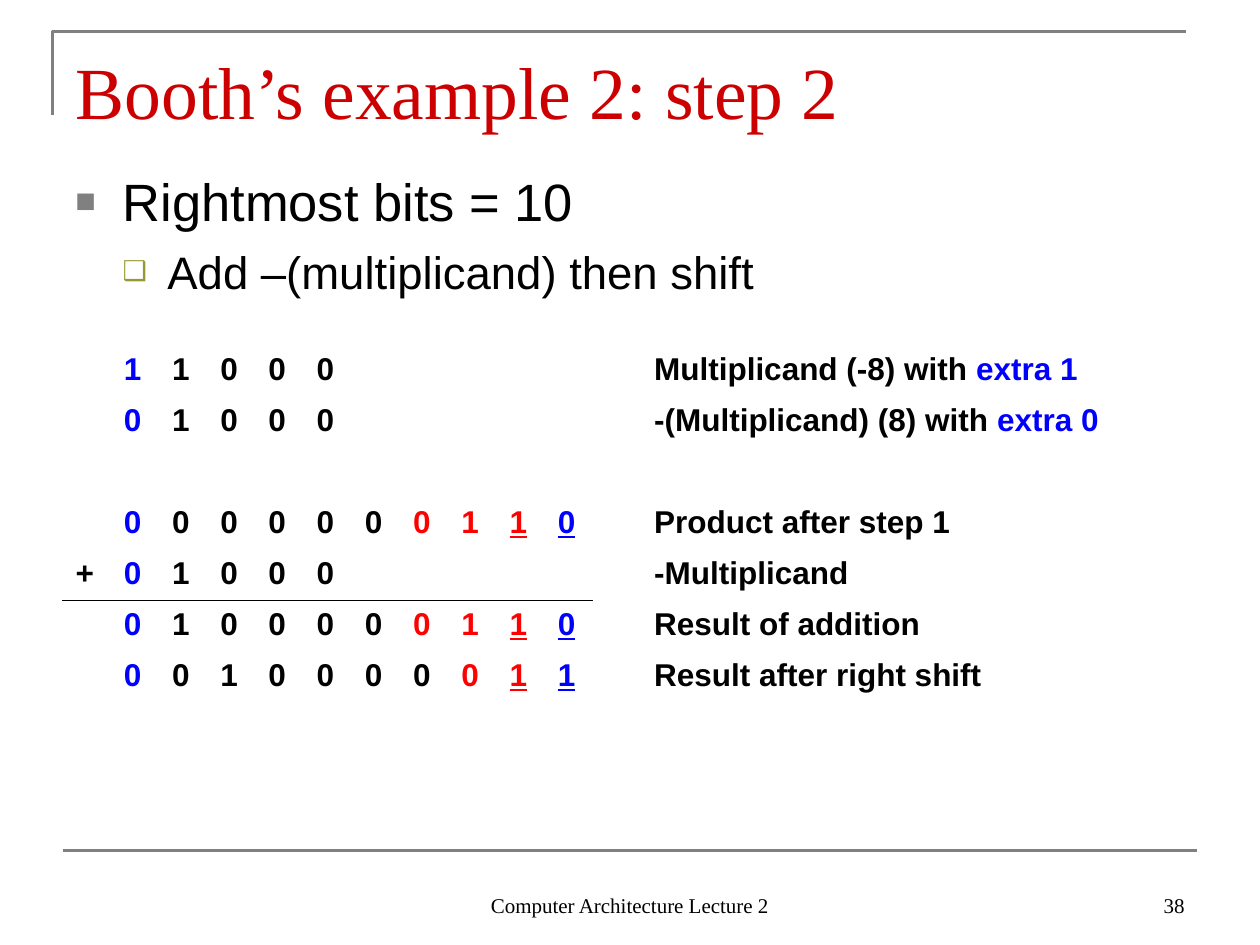
from lxml.etree import SubElement
from pptx import Presentation
from pptx.dml.color import RGBColor
from pptx.enum.shapes import MSO_CONNECTOR as Connector
from pptx.enum.text import MSO_ANCHOR as Anchor, MSO_AUTO_SIZE as AutoSize, PP_ALIGN as Align
from pptx.oxml import parse_xml
from pptx.oxml.ns import nsdecls, qn
from pptx.util import Pt

BLACK, GRAY, OLIVE = "000000", "808080", "999933"
BLUE, RED, TITLE_RED = "0000FF", "FF0000", "CC0000"


def color(value):
    return RGBColor.from_string(value)


class SlideBuilder:
    sans = "Arial"
    serif = "Times New Roman"
    rule_width = 1.5
    border_width = 0.45

    def __init__(self, deck):
        self.slide = deck.slides.add_slide(deck.slide_layouts[5])
        self.shapes = self.slide.shapes

    def run(self, paragraph, text, size, font, ink=BLACK, bold=False, underline=False):
        run = paragraph.add_run()
        run.text = text
        run.font.size = Pt(size)
        run.font.name = font
        run.font.color.rgb = color(ink)
        run.font.bold = bold
        run.font.underline = underline

    def frame(self, shape, anchor, top=3.6, bottom=3.6):
        frame = shape.text_frame
        frame.word_wrap = True
        frame.auto_size = AutoSize.NONE
        frame.vertical_anchor = anchor
        frame.margin_left = frame.margin_right = Pt(7.2)
        frame.margin_top, frame.margin_bottom = Pt(top), Pt(bottom)
        return frame

    def title(self, text, left, top, width, height):
        title = self.shapes.title
        title.left, title.top, title.width, title.height = map(Pt, (left, top, width, height))
        paragraph = self.frame(title, Anchor.BOTTOM, bottom=1).paragraphs[0]
        paragraph.alignment = Align.LEFT
        self.run(paragraph, text, 42, self.serif, TITLE_RED)

    def corner(self, points):
        start, *rest = [(Pt(x), Pt(y)) for x, y in points]
        outline = self.shapes.build_freeform(*start)
        outline.add_line_segments(rest, close=False)
        shape = outline.convert_to_shape()
        shape.shadow.inherit = False
        shape.fill.background()
        shape.line.color.rgb = color(GRAY)
        shape.line.width = Pt(self.rule_width)

    def rule(self, left, right, y):
        line = self.shapes.add_connector(Connector.STRAIGHT, Pt(left), Pt(y), Pt(right), Pt(y))
        line.line.color.rgb = color(GRAY)
        line.line.width = Pt(self.rule_width)
        SubElement(line._element.spPr, qn("a:effectLst"))

    def bullets(self, items, left, top, width, height):
        box = self.shapes.add_textbox(Pt(left), Pt(top), Pt(width), Pt(height))
        frame = self.frame(box, Anchor.TOP, top=6.7)
        for level, (text, size, before, margin, hanging, mark, ink, percent) in enumerate(items):
            paragraph = frame.add_paragraph() if level else frame.paragraphs[0]
            paragraph.level = level
            paragraph.space_before = Pt(before)
            props = paragraph._p.get_or_add_pPr()
            props.set("marL", str(Pt(margin)))
            props.set("indent", str(-Pt(hanging)))
            SubElement(SubElement(props, qn("a:buClr")), qn("a:srgbClr"), val=ink)
            SubElement(props, qn("a:buSzPct"), val=str(percent * 1000))
            SubElement(props, qn("a:buFont"), typeface=self.sans)
            SubElement(props, qn("a:buChar"), char=mark)
            self.run(paragraph, text, size, self.sans)

    def footer(self, text, left, top, width, height, align):
        box = self.shapes.add_textbox(Pt(left), Pt(top), Pt(width), Pt(height))
        paragraph = self.frame(box, Anchor.BOTTOM).paragraphs[0]
        paragraph.alignment = align
        self.run(paragraph, text, 12, self.serif)

    def border(self, cell, side):
        line = parse_xml(
            f'<a:{side} {nsdecls("a")} w="{Pt(self.border_width)}">'
            f'<a:solidFill><a:srgbClr val="{BLACK}"/></a:solidFill></a:{side}>'
        )
        cell._tc.get_or_add_tcPr().insert(0, line)

    def cell_run(self, cell, text, ink=BLACK, underline=False):
        self.run(cell.text_frame.paragraphs[0], text, 18, self.sans, ink, True, underline)

    def bit_table(self, steps, left, top, bit_width, label_width, row_height, sum_row):
        bits, label_column = 10, 12
        table = self.shapes.add_table(
            len(steps), label_column + 1, Pt(left), Pt(top),
            Pt(bit_width * label_column + label_width), Pt(row_height * len(steps)),
        ).table
        table.first_row = table.horz_banding = False
        for column in table.columns:
            column.width = Pt(bit_width)
        table.columns[label_column].width = Pt(label_width)
        for row in table.rows:
            row.height = Pt(row_height)
        for cell in table.iter_cells():
            cell.fill.background()
        for row, (sign, digits, multiplier_bits, label, extra) in enumerate(steps):
            if sign:
                self.cell_run(table.cell(row, 0), sign)
            for place, digit in enumerate(digits):
                if place in (0, bits - 1):
                    ink = BLUE
                else:
                    ink = RED if place >= bits - 1 - multiplier_bits else BLACK
                self.cell_run(table.cell(row, place + 1), digit, ink, place >= bits - 2)
            if label:
                self.cell_run(table.cell(row, label_column), label)
            if extra:
                self.cell_run(table.cell(row, label_column), extra, BLUE)
        for column in range(bits + 1):
            self.border(table.cell(sum_row - 1, column), "lnB")
            self.border(table.cell(sum_row, column), "lnT")


def main():
    deck = Presentation()
    deck.slide_width, deck.slide_height = Pt(720), Pt(540)
    page = SlideBuilder(deck)
    page.corner([(30, 66), (30, 18), (678, 18)])
    page.rule(36, 684, 486)
    page.title("Booth’s example 2: step 2", 36, 21.6, 648, 56.2)
    page.bullets(
        [
            ("Rightmost bits = 10", 30, 0, 27, 27, "■", GRAY, 65),
            ("Add –(multiplicand) then shift", 26, 6.5, 52.6, 25.6, "❑", OLIVE, 60),
        ],
        36, 90, 648, 84,
    )
    page.footer("Computer Architecture Lecture 2", 246, 492, 228, 36, Align.CENTER)
    page.footer("38", 516, 492, 168, 36, Align.RIGHT)
    steps = [
        ("", "11000", 0, "Multiplicand (-8) with ", "extra 1"),
        ("", "01000", 0, "-(Multiplicand) (8) with ", "extra 0"),
        ("", "", 0, "", ""),
        ("", "0000000110"[:6] + "0110", 3, "Product after step 1", ""),
        ("+", "01000", 0, "-Multiplicand", ""),
        ("", "0100000110", 3, "Result of addition", ""),
        ("", "0010000011", 2, "Result after right shift", ""),
    ]
    page.bit_table(steps, 36, 197.3, 27.56, 290, 29.2, 5)
    deck.save("out.pptx")


if __name__ == "__main__":
    main()
